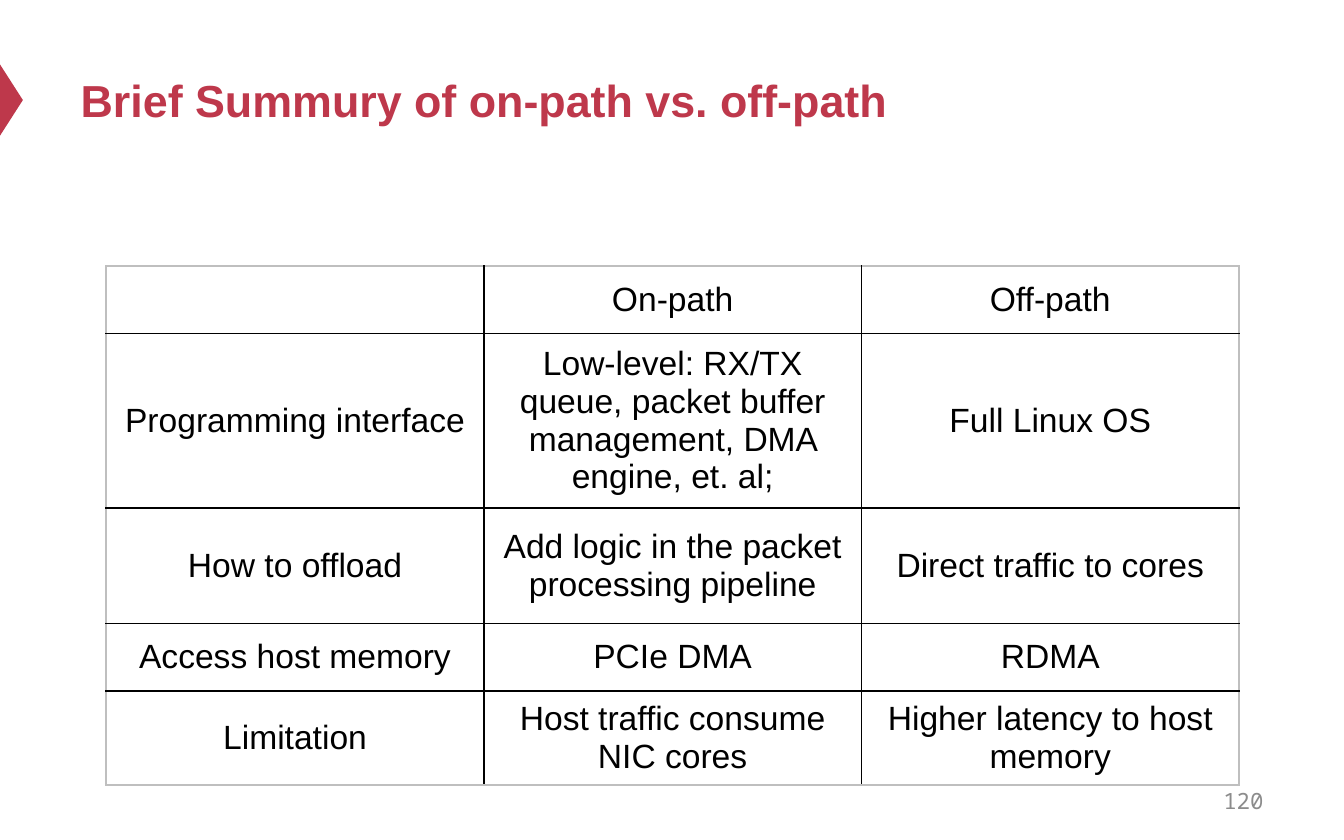
from lxml.etree import SubElement
from pptx import Presentation
from pptx.dml.color import RGBColor
from pptx.enum.shapes import MSO_SHAPE
from pptx.enum.text import MSO_ANCHOR, PP_ALIGN
from pptx.oxml.ns import qn
from pptx.util import Pt

EMU_PER_PX = 9144  # 100 px to the inch

CRIMSON = RGBColor(0xBE, 0x38, 0x4B)
BLACK = RGBColor(0x00, 0x00, 0x00)
GRAY = RGBColor(0x8C, 0x8C, 0x8C)
FRAME_GRAY = RGBColor(0xBF, 0xBF, 0xBF)

TITLE_FORMAT = {"name": "Arial", "size": Pt(24), "bold": True}
CELL_FORMAT = {"name": "Arial", "size": Pt(18), "bold": False}
NUMBER_FORMAT = {"name": "Noto Sans Mono", "size": Pt(12)}

COLUMN_WIDTH = 281
ROW_HEIGHTS = [50, 122, 86, 50, 66]
COMPARISON = [
    ["", "On-path", "Off-path"],
    ["Programming interface",
     "Low-level: RX/TX queue, packet buffer management, DMA engine, et. al;",
     "Full Linux OS"],
    ["How to offload", "Add logic in the packet processing pipeline",
     "Direct traffic to cores"],
    ["Access host memory", "PCIe DMA", "RDMA"],
    ["Limitation", "Host traffic consume NIC cores",
     "Higher latency to host memory"],
]


def px(length):
    return length * EMU_PER_PX


def box(*lengths):
    return [px(length) for length in lengths]


def write(frame, text, font_format, color, align):
    frame.text = text
    paragraph = frame.paragraphs[0]
    paragraph.alignment = align
    for name, value in font_format.items():
        setattr(paragraph.font, name, value)
    paragraph.font.color.rgb = color


def add_title(slide, text):
    title = slide.shapes.title
    title.left, title.top, title.width, title.height = box(50, 25, 900, 98)
    write(title.text_frame, text, TITLE_FORMAT, CRIMSON, PP_ALIGN.LEFT)
    title.text_frame.vertical_anchor = MSO_ANCHOR.MIDDLE


def add_title_marker(slide):
    marker = slide.shapes.add_shape(MSO_SHAPE.ISOSCELES_TRIANGLE,
                                    *box(-18, 66, 53, 17))
    marker.rotation = 90
    marker.shadow.inherit = False
    marker.fill.solid()
    marker.fill.fore_color.rgb = CRIMSON
    marker.line.fill.background()


def add_page_number(slide, number):
    frame = slide.shapes.add_textbox(*box(717, 579, 233, 33)).text_frame
    frame.word_wrap = True
    frame.vertical_anchor = MSO_ANCHOR.MIDDLE
    write(frame, number, NUMBER_FORMAT, GRAY, PP_ALIGN.RIGHT)


def set_borders(cell, side_colors):
    properties = cell._tc.get_or_add_tcPr()
    for side, color in side_colors.items():
        line = SubElement(properties, qn(f"a:ln{side}"), w=str(Pt(1)))
        fill = SubElement(line, qn("a:solidFill"))
        SubElement(fill, qn("a:srgbClr"), val=str(color))


def add_comparison(slide, rows):
    row_count, column_count = len(rows), len(rows[0])
    table = slide.shapes.add_table(
        row_count, column_count,
        *box(79, 198, COLUMN_WIDTH * column_count, sum(ROW_HEIGHTS))).table
    table.first_row = table.horz_banding = False
    for column in table.columns:
        column.width = px(COLUMN_WIDTH)
    for r, (texts, height) in enumerate(zip(rows, ROW_HEIGHTS)):
        table.rows[r].height = px(height)
        for c, text in enumerate(texts):
            cell = table.cell(r, c)
            write(cell.text_frame, text, CELL_FORMAT, BLACK, PP_ALIGN.CENTER)
            cell.vertical_anchor = MSO_ANCHOR.MIDDLE
            # Gray on the outer frame, black between cells
            on_frame = {"L": c == 0, "R": c == column_count - 1,
                        "T": r == 0, "B": r == row_count - 1}
            set_borders(cell, {side: FRAME_GRAY if outer else BLACK
                               for side, outer in on_frame.items()})
            cell.fill.background()


def main():
    deck = Presentation()
    deck.slide_width, deck.slide_height = box(1000, 625)
    slide = deck.slides.add_slide(deck.slide_layouts[5])

    # Heading
    add_title_marker(slide)
    add_title(slide, "Brief Summury of on-path vs. off-path")

    # Comparison and footer
    add_page_number(slide, "120")
    add_comparison(slide, COMPARISON)

    deck.save("out.pptx")


if __name__ == "__main__":
    main()
